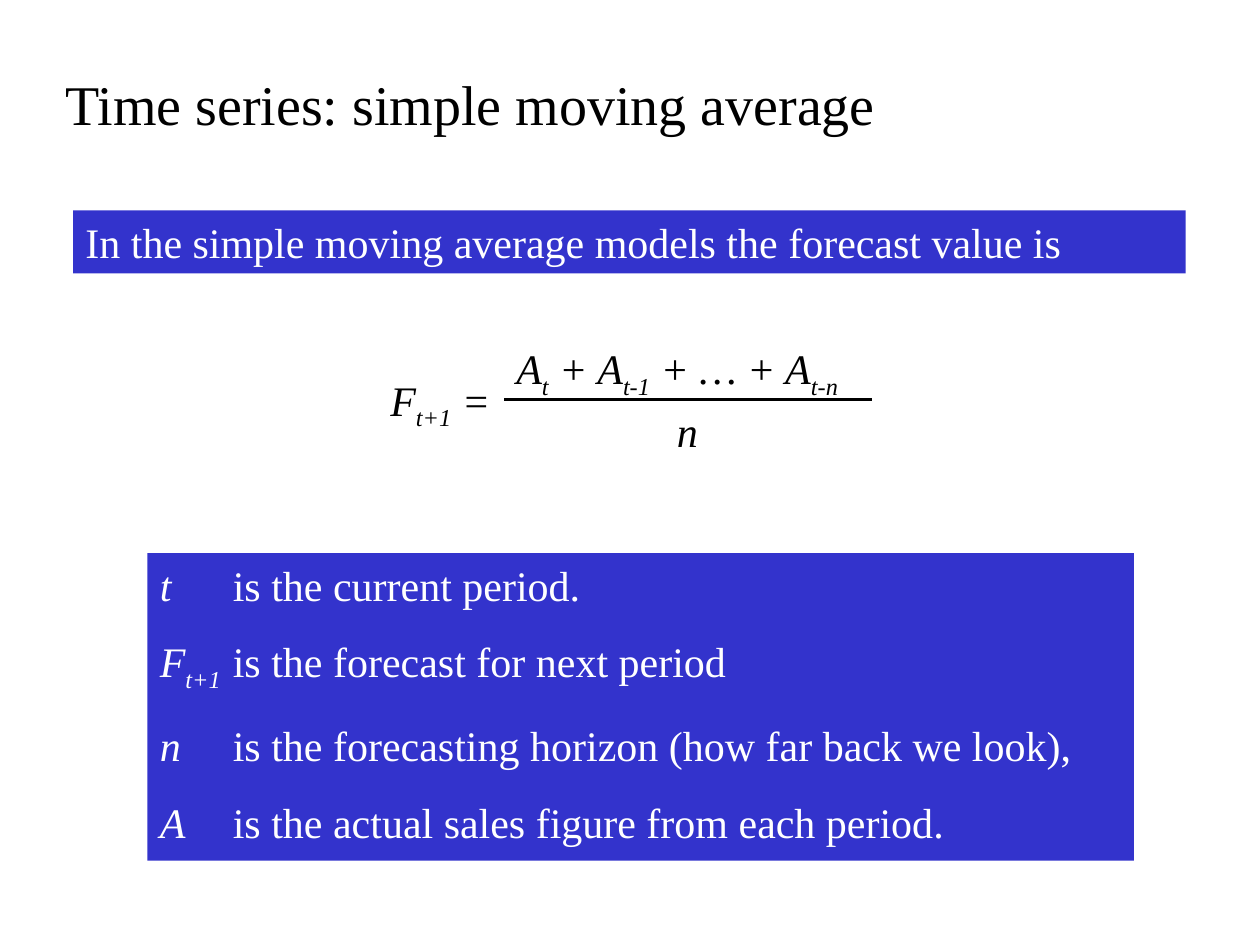
import pptx
import pptx.dml.color
import pptx.enum.shapes
import pptx.enum.text
import pptx.oxml
import pptx.oxml.ns
import pptx.util
from pptx.util import Inches

COLORS = {"ink": "000000", "panel": "3333CC", "light": "FFFFFF"}
FONT = "Times New Roman"
FORECAST = [("F", "italic"), ("t+1", "sub")]
DEFINITIONS = [
    [("t", "italic"), ("\tis the current period.", "plain")],
    FORECAST + [("\tis the forecast for next period", "plain")],
    [("n", "italic"), ("\tis the forecasting horizon (how far back we look),", "plain")],
    [("A", "italic"), ("\tis the actual sales figure from each period.", "plain")],
]
NUMERATOR = [("A", "italic"), ("t", "sub"), (" + A", "italic"), ("t-1", "sub"),
             (" + … + A", "italic"), ("t-n", "sub")]


def rgb(name):
    """Return the named colour."""
    return pptx.dml.color.RGBColor.from_string(COLORS[name])


def add_tab(para, position):
    """Give the paragraph one left tab stop."""
    properties = para._p.get_or_add_pPr()
    tabs = pptx.oxml.parse_xml(
        f'<a:tabLst {pptx.oxml.ns.nsdecls("a")}><a:tab pos="{position}" algn="l"/></a:tabLst>')
    properties.append(tabs)


def write_lines(box, lines, color, size=24, tab=None, centered=False):
    """Write lines of (text, style) spans into a box."""
    frame = box.text_frame
    frame.word_wrap = True
    frame.vertical_anchor = pptx.enum.text.MSO_ANCHOR.TOP
    align = pptx.enum.text.PP_ALIGN
    for index, spans in enumerate(lines):
        para = frame.add_paragraph() if index else frame.paragraphs[0]
        para.alignment = align.CENTER if centered else align.LEFT
        if index:
            para.space_before = pptx.util.Pt(15)
        if tab:
            add_tab(para, tab)
        for text, style in spans:
            span = para.add_run()
            span.text = text
            span.font.name = FONT
            span.font.size = pptx.util.Pt(size)
            span.font.italic = style != "plain"
            span.font.color.rgb = rgb(color)
            if style == "sub":
                span.font._element.set("baseline", "-25000")


def add_text(page, left, top, width, height, spans, **options):
    """Add a one-line dark text box."""
    box = page.shapes.add_textbox(left, top, width, height)
    write_lines(box, [spans], "ink", **options)


def add_panel(page, left, top, width, height, lines, **options):
    """Add a filled panel with light text."""
    panel = page.shapes.add_shape(
        pptx.enum.shapes.MSO_SHAPE.RECTANGLE, left, top, width, height)
    panel.shadow.inherit = False
    panel.fill.solid()
    panel.fill.fore_color.rgb = rgb("panel")
    panel.line.fill.background()
    write_lines(panel, lines, "light", **options)


def add_formula(page, left, top):
    """Add the forecast fraction with its left side and bar."""
    bar_left, bar_top = left + Inches(1), top + Inches(0.5)
    add_text(page, left, top + Inches(0.25), Inches(1.17), Inches(0.56),
             FORECAST + [(" =", "italic")])
    bar = page.shapes.add_connector(
        pptx.enum.shapes.MSO_CONNECTOR.STRAIGHT,
        bar_left, bar_top, bar_left + Inches(2.92), bar_top)
    bar.line.color.rgb = rgb("ink")
    bar.line.width = pptx.util.Pt(1.5)
    bar._element.spPr.append(
        pptx.oxml.parse_xml(f'<a:effectLst {pptx.oxml.ns.nsdecls("a")}/>'))
    add_text(page, bar_left, top, Inches(3), Inches(0.56), NUMERATOR)
    add_text(page, left + Inches(2.08), bar_top, Inches(0.75), Inches(0.5),
             [("n", "italic")], centered=True)


def main():
    """Build and save the slide."""
    deck = pptx.Presentation()
    deck.slide_width, deck.slide_height = Inches(10), Inches(7.5)
    page = deck.slides.add_slide(deck.slide_layouts[6])
    add_text(page, Inches(0.42), Inches(0.5), Inches(9.17), Inches(0.64),
             [("Time series: simple moving average", "plain")], size=32)
    add_panel(page, Inches(0.58), Inches(1.67), Inches(8.83), Inches(0.5),
              [[("In the simple moving average models the forecast value is", "plain")]])
    add_formula(page, Inches(3), Inches(2.67))
    add_panel(page, Inches(1.17), Inches(4.39), Inches(7.83), Inches(2.44),
              DEFINITIONS, tab=Inches(0.58))
    deck.save("out.pptx")


if __name__ == "__main__":
    main()
